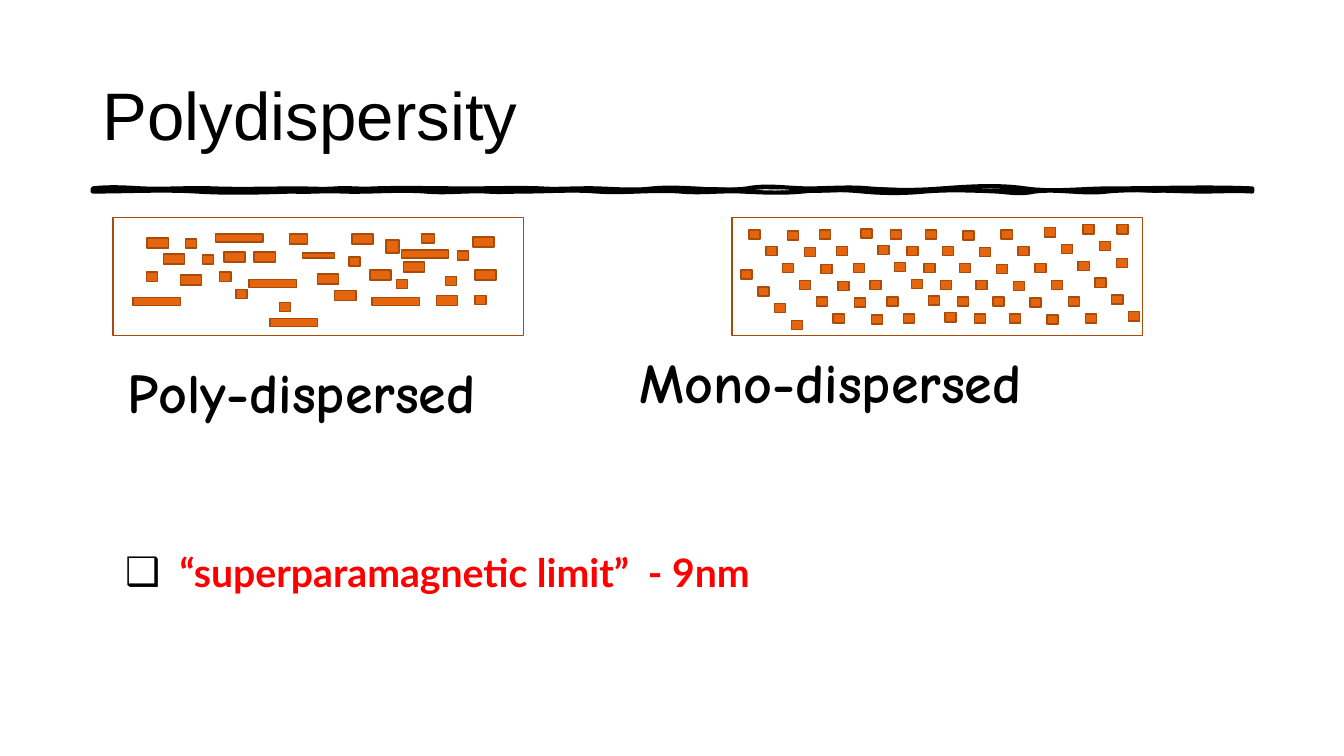
from copy import deepcopy

from lxml import etree
from pptx import Presentation
from pptx import util as u
from pptx.dml import color
from pptx.enum import shapes, text
from pptx.oxml import ns

INK = {"black": "000000", "red": "FF0000", "fill": "E4650E", "edge": "A94B0A"}
HEAD = {"size": u.Pt(48), "name": "Arial", "bold": False}
LABEL = {"size": u.Pt(40), "name": "Comic Neue", "bold": True}
POINT = {"size": u.Pt(28), "name": "Lato", "bold": True}
PANEL = (4.07, 1.17)
STEP = 1 / 6

GRAINS = {
    (0.11, 0.09): [(0.72, 0.21), (0.89, 0.37), (1.06, 0.54), (1.22, 0.71), (0.33, 0.54),
                   (2.34, 0.39), (3.42, 0.33), (3.59, 0.77), (2.81, 0.61), (3.3, 0.58),
                   (1.65, 0.84)],
    (0.21, 0.1): [(0.34, 0.2), (2.37, 0.16), (1.4, 0.34), (0.5, 0.36), (0.67, 0.57),
                  (2.88, 0.44), (1.1, 0.34), (2.03, 0.56), (2.2, 0.72), (2.55, 0.52),
                  (3.57, 0.19), (3.21, 0.77), (3.59, 0.52)],
    (0.47, 0.08): [(1.02, 0.16), (0.2, 0.79), (1.35, 0.61), (1.56, 1), (2.57, 0.79),
                   (2.86, 0.32)],
    (0.13, 0.13): [(2.71, 0.22)],
    (0.13, 0.09): [(3.06, 0.16)],
    (0.32, 0.05): [(1.88, 0.35)],
    (0.18, 0.1): [(1.75, 0.16)],
}
CHAINS = [(0.17, 0.12, 6), (0.55, 0.13, 6), (0.09, 0.52, 4), (0.87, 0.12, 6),
          (1.28, 0.11, 6), (1.57, 0.12, 6), (1.92, 0.12, 6), (2.29, 0.13, 6),
          (2.67, 0.12, 6), (3.1, 0.1, 6), (3.48, 0.07, 3), (3.82, 0.07, 1)]
DOTS = {(0.11, 0.09): [(x + i * STEP, y + i * STEP)
                       for x, y, n in CHAINS for i in range(n)]}

STROKE = (
    [(0.49, -2, -1), (1.2, 1, -1), (2.04, 1, 0), (2.41, 0, 1), (2.79, -1, 1),
     (3.73, -1, 0), (4.45, 0, -1), (4.83, 1, 0), (5.55, -1, 3), (6.49, -3, 4),
     (7.1, -4, 0), (7.7, 0, -2), (8.42, 2, 2), (9.25, -2, -4), (10.09, 4, 0),
     (11.5, 0, -2)],
    [(11.01, -1, 0), (10.06, 0, -3), (9.34, 3, -3), (8.97, 3, 1), (8.25, -1, -2),
     (7.64, 2, 2), (7.04, -2, -2), (6.44, 2, 1), (5.83, -1, 2), (5, -2, 2),
     (4.28, -2, 0), (3.91, 0, 1), (3.3, -1, 2), (2.47, -2, 1), (1.98, -1, 1),
     (1.03, 1, 2), (0, -2, 0)])
CORE = (
    [(0.6, 2, 2), (0.97, -2, -2), (1.92, 2, -2), (2.53, 2, 1), (3.13, -1, -2),
     (4.08, 2, 1), (4.57, -1, 0), (5.52, 0, 2), (6.47, -2, -2), (7.18, 2, 3),
     (8.13, -3, -1), (8.74, 1, -1), (9.34, 1, -2), (10.17, 2, 3), (10.78, -3, -3),
     (11.5, 3, 0)],
    [(10.66, 2, -3), (10.29, 3, 0), (9.8, 0, 2), (8.85, -2, 4), (8.13, -4, 4),
     (7.64, -4, 0), (6.93, 0, 3), (6.55, -3, -2), (6.18, 2, 1), (5.46, -1, -3),
     (4.97, 3, -1), (4.14, 1, 1), (3.65, -1, 0), (2.81, 0, 2), (2.44, -2, -1),
     (1.61, 1, 2), (1.12, -2, 1), (0.74, -1, -1), (0, 1, 2)])


def style(run, form, hue):
    """Apply a font format and colour to a run."""
    for key, val in form.items():
        setattr(run.font, key, val)
    run.font.color.rgb = color.RGBColor.from_string(INK[hue])


def place(shape, x, y, w, h):
    """Move a shape to a box given in inches."""
    for key, val in {"left": x, "top": y, "width": w, "height": h}.items():
        setattr(shape, key, u.Inches(val))


def block(slide, x, y, w, h, full=True):
    """Draw one outlined rectangle, filled or hollow."""
    rect = slide.shapes.add_shape(shapes.MSO_SHAPE.RECTANGLE,
                                  *map(u.Inches, (x, y, w, h)))
    rect.shadow.inherit = False
    if full:
        rect.fill.solid()
        rect.fill.fore_color.rgb = color.RGBColor.from_string(INK["fill"])
    else:
        rect.fill.background()
    rect.line.color.rgb = color.RGBColor.from_string(INK["edge"])
    rect.line.width = u.Pt(1)


def panel(slide, x, y, grains):
    """Draw a frame with its grains, grouped by size."""
    for (w, h), spots in grains.items():
        for dx, dy in spots:
            block(slide, x + dx, y + dy, w, h)
    block(slide, x, y, *PANEL, full=False)


def step(trail, kind, *dots):
    """Add one drawing command to an outline."""
    node = etree.SubElement(trail, ns.qn("a:" + kind))
    for x, y in dots:
        etree.SubElement(node, ns.qn("a:pt"), x=str(u.Inches(x)), y=str(u.Inches(y)))


def bend(trail, edges, w, h):
    """Rewrite an outline as curves along its upper and lower edges."""
    for node in list(trail):
        trail.remove(node)
    step(trail, "moveTo", (0, 0))
    for edge, last, base in zip(edges, (0, w), (0, h)):
        if last:
            step(trail, "lnTo", (last, base))
        for end, a, b in edge:
            third = (end - last) / 3
            step(trail, "cubicBezTo", (last + third, base + a / 100),
                 (end - third, base + b / 100), (end, base))
            last = end
    step(trail, "close")


def rule(slide, x, y, w, h):
    """Draw the rough hand-drawn rule below the title."""
    pen = slide.shapes.build_freeform(u.Inches(x), u.Inches(y))
    pen.add_line_segments([(u.Inches(x + dx), u.Inches(y + dy))
                           for dx, dy in ((w, 0), (w, h), (0, h))])
    wave = pen.convert_to_shape()
    wave.shadow.inherit = False
    wave.fill.solid()
    wave.fill.fore_color.rgb = color.RGBColor.from_string(INK["black"])
    wave.line.color.rgb = color.RGBColor.from_string(INK["black"])
    wave.line.width = u.Pt(3)
    stroke = wave._element.find(".//" + ns.qn("a:path"))
    core = deepcopy(stroke)
    stroke.addnext(core)
    stroke.set("fill", "none")
    core.set("stroke", "0")
    bend(stroke, STROKE, w, h)
    bend(core, CORE, w, h)


def title(slide, words, *box):
    """Fill and place the title."""
    head = slide.shapes.title
    place(head, *box)
    frame = head.text_frame
    frame.vertical_anchor = text.MSO_ANCHOR.MIDDLE
    para = frame.paragraphs[0]
    para.alignment = text.PP_ALIGN.LEFT
    run = para.add_run()
    run.text = words
    style(run, HEAD, "black")


def label(slide, words, *box):
    """Write the caption of a panel."""
    note = slide.shapes.add_textbox(*map(u.Inches, box))
    note.text_frame.word_wrap = True
    run = note.text_frame.paragraphs[0].add_run()
    run.text = words
    style(run, LABEL, "black")


def point(slide, words, *box):
    """Write the bulleted remark in the body placeholder."""
    body = slide.placeholders[1]
    place(body, *box)
    para = body.text_frame.paragraphs[0]
    para.space_before = u.Pt(0)
    run = para.add_run()
    run.text = words
    style(run, POINT, "red")
    props = para._p.get_or_add_pPr()
    props.set("marL", str(u.Inches(0.54)))
    props.set("indent", str(-u.Inches(0.54)))
    tint = etree.SubElement(props, ns.qn("a:buClr"))
    etree.SubElement(tint, ns.qn("a:srgbClr"), val=INK["black"])
    etree.SubElement(props, ns.qn("a:buFont"), typeface="Arial")
    etree.SubElement(props, ns.qn("a:buChar"), char="❑")


def main():
    """Build the slide and save it."""
    deck = Presentation()
    deck.slide_width, deck.slide_height = u.Inches(13.33), u.Inches(7.5)
    slide = deck.slides.add_slide(deck.slide_layouts[1])
    rule(slide, 0.92, 1.87, 11.5, 0.03)
    title(slide, "Polydispersity", 0.92, 0.4, 11.5, 1.45)
    panel(slide, 1.12, 2.16, GRAINS)
    panel(slide, 7.26, 2.16, DOTS)
    label(slide, "Poly-dispersed", 1.17, 3.5, 4.77, 0.77)
    label(slide, "Mono-dispersed", 6.24, 3.4, 5.45, 0.77)
    point(slide, "“superparamagnetic limit”  - 9nm", 1.14, 5.39, 7.93, 0.57)
    deck.save("out.pptx")


if __name__ == "__main__":
    main()
